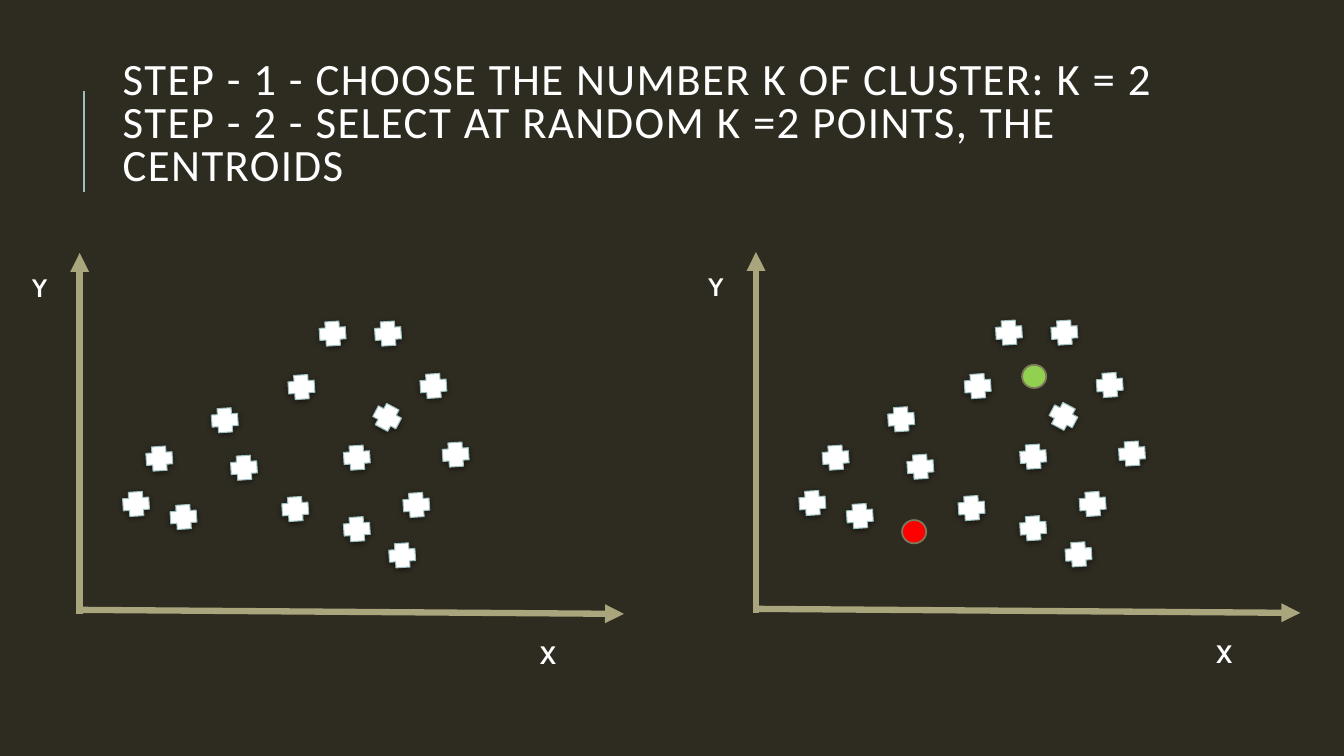
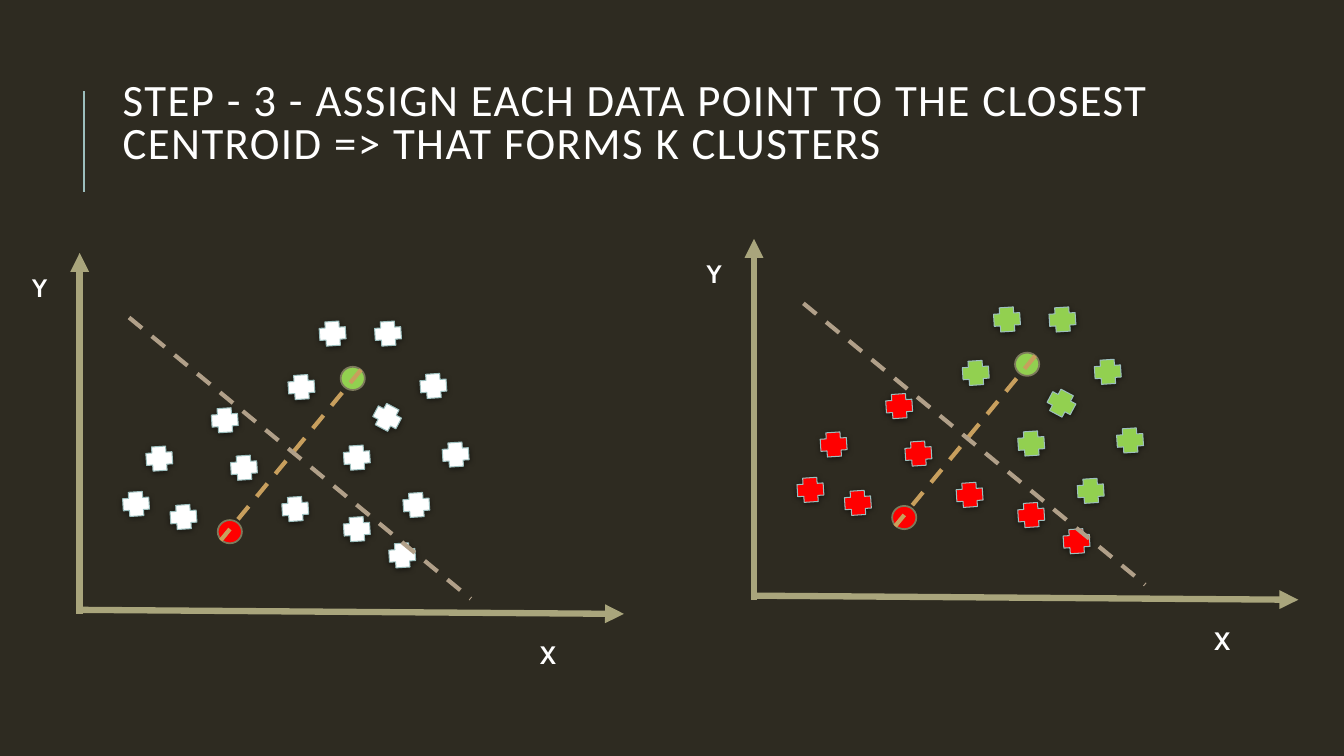
from dataclasses import dataclass
from math import dist

from lxml import etree
from pptx import Presentation
from pptx.dml.color import RGBColor
from pptx.enum import dml, shapes, text
from pptx.oxml.ns import qn
from pptx.util import Pt


@dataclass(frozen=True)
class Theme:
    back: str = "2E2B21"
    white: str = "FFFFFF"
    edge: str = "9CBEBD"
    axis: str = "A9A57C"
    ring: str = "7D7A5C"
    link: str = "C89F5D"
    split: str = "B1A089"
    red: str = "FF0000"
    green: str = "92D050"
    head: str = "Calibri"
    body: str = "Cabin"
    big: int = 32
    small: int = 18


T = Theme()

# Centres, in points from the top of the Y axis; Y grows downwards.
POINTS = [
    (268.6, 144), (154, 182.9), (56.9, 146.9), (230.4, 216),
    (180.7, 57.6), (158.4, 95.8), (220.3, 57.6), (252.7, 95),
    (40.3, 179.3), (74.2, 188.6), (117.4, 153.4), (198, 197.3),
    (103.7, 119.5), (198, 146.2), (240.5, 180),
]
TILTED = (219.6, 117.4)
START = {T.red: (113, 199.8), T.green: (198.7, 88.9)}
SEEDS = {T.red: (107.3, 199.1), T.green: (195.1, 89.6)}


def rgb(code):
    return RGBColor.from_string(code)


def write(slide, words, x, y, w, h, font=T.body, size=T.small, bold=False,
          lead=None, track=None, anchor=text.MSO_ANCHOR.TOP):
    """Add a text box; track is the letter spacing in points."""
    frame = slide.shapes.add_textbox(Pt(x), Pt(y), Pt(w), Pt(h)).text_frame
    frame.word_wrap = True
    frame.vertical_anchor = anchor
    para = frame.paragraphs[0]
    para.text = words
    para.line_spacing = lead
    for run in para.runs:
        face = run.font
        face.name, face.size, face.bold = font, Pt(size), bold
        face.color.rgb = rgb(T.white)
        if track:
            face._element.set("spc", str(track * 100))


def draw(slide, start, end, color, width, dash=None, arrow=False):
    ends = [Pt(v) for v in (*start, *end)]
    line = slide.shapes.add_connector(shapes.MSO_CONNECTOR.STRAIGHT, *ends)
    line.line.color.rgb = rgb(color)
    line.line.width = Pt(width)
    if dash:
        line.line.dash_style = dash
    props = line.element.spPr
    if arrow:
        etree.SubElement(props.find(qn("a:ln")), qn("a:tailEnd"), type="triangle")
    etree.SubElement(props, qn("a:effectLst"))


def mark(slide, kind, spot, size, fill, edge, width):
    """Add a preset shape centred on spot."""
    (x, y), (w, h) = spot, size
    item = slide.shapes.add_shape(kind, Pt(x - w / 2), Pt(y - h / 2), Pt(w), Pt(h))
    item.fill.solid()
    item.fill.fore_color.rgb = rgb(fill)
    item.line.color.rgb = rgb(edge)
    item.line.width = Pt(width)
    item.shadow.inherit = False
    return item


def cross(slide, spot, fill, turn=86.3):
    item = mark(slide, shapes.MSO_SHAPE.CROSS, spot, (17.3, 18.7), fill, T.edge, 0.75)
    item.rotation = turn
    glow = etree.SubElement(
        item.element.spPr.find(qn("a:effectLst")), qn("a:outerShdw"),
        blurRad=str(Pt(4)), dist=str(Pt(1)), dir="5400000", rotWithShape="0")
    tint = etree.SubElement(glow, qn("a:srgbClr"), val="000000")
    etree.SubElement(tint, qn("a:alpha"), val="50000")


def plot(slide, left, top, seeds=None, paint=False, cut=False):
    """Draw one scatter plot.

    seeds maps colour to centroid, paint colours each point like its nearest
    centroid, and cut adds the dashed link and the border across it.
    """
    def at(spot):
        return left + spot[0], top + spot[1]

    def shade(spot):
        return min(seeds, key=lambda c: dist(seeds[c], spot)) if paint else T.white

    for start, end in (((0, 257.8), (0, 0)), ((0, 254.9), (388.8, 257.8))):
        draw(slide, at(start), at(end), T.axis, 4.5, arrow=True)
    for name, spot in (("Y", (-41, 10.1)), ("X", (321.8, 272.2))):
        write(slide, name, *at(spot), 54.7, 28.8, bold=True)
    for spot in POINTS:
        cross(slide, at(spot), shade(spot))
    cross(slide, at(TILTED), shade(TILTED), turn=118)
    for color, spot in (seeds or {}).items():
        mark(slide, shapes.MSO_SHAPE.OVAL, at(spot), (17.3, 16.6), color, T.ring, 1.25)
    if cut:
        dash = dml.MSO_LINE.DASH
        draw(slide, at((200.9, 83.5)), at((100.8, 205.2)), T.link, 3, dash)
        draw(slide, at((35.3, 46.1)), at((279.4, 247)), T.split, 3, dash)


def page(deck, title):
    slide = deck.slides.add_slide(deck.slide_layouts[6])
    fill = slide.background.fill
    fill.solid()
    fill.fore_color.rgb = rgb(T.back)
    draw(slide, (59.8, 136.8), (59.8, 64.8), T.edge, 1.5)
    write(slide, title, 80.6, 34.6, 765.4, 110, font=T.head, size=T.big,
          lead=0.8, track=1, anchor=text.MSO_ANCHOR.MIDDLE)
    return slide


def main():
    deck = Presentation()
    deck.slide_width, deck.slide_height = Pt(960), Pt(540)

    pick = page(deck, "STEP - 1 - CHOOSE THE NUMBER K OF CLUSTER: K = 2\v"
                      "STEP - 2 - SELECT AT RANDOM K =2 POINTS, THE CENTROIDS")
    plot(pick, 56.9, 180.7)
    plot(pick, 540, 180, START)

    assign = page(deck, "STEP - 3 - ASSIGN EACH DATA POINT TO THE CLOSEST "
                        "CENTROID => THAT FORMS K CLUSTERS")
    plot(assign, 56.9, 180.7, SEEDS, cut=True)
    plot(assign, 538.6, 170.6, SEEDS, paint=True, cut=True)

    deck.save("out.pptx")


if __name__ == "__main__":
    main()
